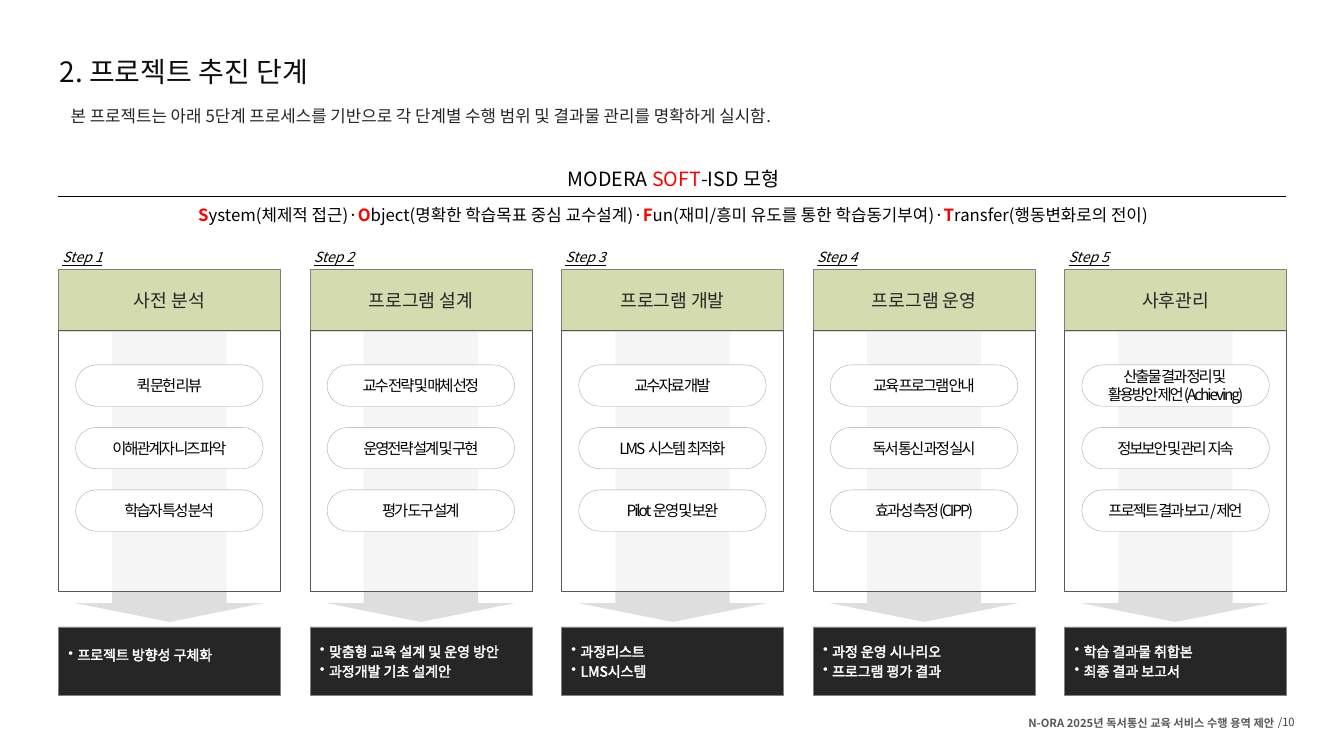
from pptx import Presentation
from pptx.dml.color import RGBColor
from pptx.enum.shapes import MSO_CONNECTOR, MSO_SHAPE
from pptx.enum.text import MSO_ANCHOR, PP_ALIGN
from pptx.oxml import parse_xml
from pptx.oxml.ns import nsdecls, qn
from pptx.oxml.xmlchemy import OxmlElement
from pptx.util import Inches, Pt

FONT = "Noto Sans CJK KR"
BLACK = RGBColor(0x00, 0x00, 0x00)
NEAR_BLACK = RGBColor(0x0D, 0x0D, 0x0D)
CHARCOAL = RGBColor(0x26, 0x26, 0x26)
PAGE_GREY = RGBColor(0x40, 0x40, 0x40)
DARK_GREY = RGBColor(0x59, 0x59, 0x59)
MID_GREY = RGBColor(0x80, 0x80, 0x80)
PILL_GREY = RGBColor(0xA6, 0xA6, 0xA6)
ARROW_GREY = RGBColor(0xBF, 0xBF, 0xBF)
GREEN = RGBColor(0xD3, 0xDB, 0xAF)
WHITE = RGBColor(0xFF, 0xFF, 0xFF)
RED = RGBColor(0xFF, 0x00, 0x00)

FIRST_LEFT, STEP_PITCH, STEP_WIDTH = 0.58, 2.495, 2.2
PILL_INSET, PILL_WIDTH, PILL_TOP, PILL_PITCH = 0.17, 1.86, 3.62, 0.62

STEPS = [
    ("사전 분석",
     ["퀵 문헌 리뷰", "이해관계자 니즈 파악", "학습자 특성 분석"],
     ["프로젝트 방향성 구체화"]),
    ("프로그램 설계",
     ["교수 전략 및 매체 선정", "운영전략 설계 및 구현", "평가 도구 설계"],
     ["맞춤형 교육 설계 및 운영 방안", "과정개발 기초 설계안"]),
    ("프로그램 개발",
     ["교수자료 개발", "LMS  시스템  최적화", "Pilot 운영 및 보완"],
     ["과정리스트", "LMS시스템"]),
    ("프로그램 운영",
     ["교육 프로그램 안내", "독서 통신 과정 실시", "효과성 측정(CIPP)"],
     ["과정 운영 시나리오", "프로그램 평가 결과"]),
    ("사후관리",
     ["산출물 결과 정리 및 \n활용방안 제언(Achieving)", "정보보안 및 관리  지속",
      "프로젝트 결과 보고/제언"],
     ["학습 결과물 취합본", "최종 결과 보고서"]),
]
MODEL_WORDS = [
    ("S", "ystem(체제적 접근)·"),
    ("O", "bject(명확한 학습목표 중심 교수설계)·"),
    ("F", "un(재미/흥미 유도를 통한 학습동기부여)·"),
    ("T", "ransfer(행동변화로의 전이)"),
]


def add_run(paragraph, text, size, color, bold=False):
    run = paragraph.add_run()
    run.text = text
    run.font.name = FONT
    run.font.size = Pt(size)
    run.font.bold = bold
    run.font.color.rgb = color
    east_asian = OxmlElement("a:ea")
    east_asian.set("typeface", FONT)
    run.font._element.find(qn("a:latin")).addnext(east_asian)
    return run


def add_label(slide, box, runs, size, align=PP_ALIGN.LEFT,
              anchor=MSO_ANCHOR.TOP, wrap=False):
    label = slide.shapes.add_textbox(*map(Inches, box))
    frame = label.text_frame
    frame.word_wrap = wrap
    frame.vertical_anchor = anchor
    paragraph = frame.paragraphs[0]
    paragraph.alignment = align
    for text, color, bold in runs:
        add_run(paragraph, text, size, color, bold)
    return label


def add_block(slide, kind, box, fill, line=None, alpha=None):
    block = slide.shapes.add_shape(kind, *map(Inches, box))
    block.shadow.inherit = False
    block.fill.solid()
    block.fill.fore_color.rgb = fill
    if alpha:
        opacity = OxmlElement("a:alpha")
        opacity.set("val", str(alpha * 1000))
        block.element.spPr.find(qn("a:solidFill"))[0].append(opacity)
    if line is None:
        block.line.fill.background()
    else:
        block.line.color.rgb = line
        block.line.width = Pt(0.25)
    block.text_frame.vertical_anchor = MSO_ANCHOR.MIDDLE
    return block


def add_pill(slide, left, top, text):
    pill = add_block(slide, MSO_SHAPE.ROUNDED_RECTANGLE,
                     (left, top, PILL_WIDTH, 0.41), WHITE, PILL_GREY)
    pill.adjustments[0] = 0.5
    pill.text_frame.word_wrap = False
    paragraph = pill.text_frame.paragraphs[0]
    paragraph.alignment = PP_ALIGN.CENTER
    for number, line in enumerate(text.split("\n")):
        if number:
            paragraph.add_line_break()
        run = add_run(paragraph, line, 11, BLACK)
        run.font._element.set("spc", "-150")


def add_results(slide, left, results):
    box = add_block(slide, MSO_SHAPE.RECTANGLE, (left, 6.22, STEP_WIDTH, 0.68),
                    CHARCOAL, MID_GREY)
    frame = box.text_frame
    frame.word_wrap = False
    if len(results) == 1:
        frame.margin_bottom = Inches(0.18)
    for number, result in enumerate(results):
        paragraph = frame.add_paragraph() if number else frame.paragraphs[0]
        paragraph.alignment = PP_ALIGN.LEFT
        properties = paragraph._p.get_or_add_pPr()
        properties.set("marL", str(Inches(0.09)))
        properties.set("indent", str(-Inches(0.09)))
        bullet = OxmlElement("a:buChar")
        bullet.set("char", "•")
        properties.append(bullet)
        paragraph.space_before = Pt(1 if number else 0)
        paragraph.space_after = Pt(1)
        run = add_run(paragraph, result, 10, WHITE)
        run.font._element.insert(0, parse_xml(
            f'<a:ln {nsdecls("a")} w="3175"><a:solidFill>'
            f'<a:srgbClr val="{WHITE}"/></a:solidFill></a:ln>'))


def add_step(slide, index, heading, tasks, results):
    left = FIRST_LEFT + index * STEP_PITCH
    pill_left = left + PILL_INSET
    add_results(slide, left, results)
    arrow = add_block(slide, MSO_SHAPE.DOWN_ARROW,
                      (pill_left, 2.92, PILL_WIDTH, 3.25), ARROW_GREY, alpha=50)
    arrow.adjustments[0] = 0.61
    arrow.adjustments[1] = 0.1
    header = add_block(slide, MSO_SHAPE.RECTANGLE,
                       (left, 2.67, STEP_WIDTH, 0.62), GREEN, MID_GREY)
    paragraph = header.text_frame.paragraphs[0]
    paragraph.alignment = PP_ALIGN.CENTER
    add_run(paragraph, heading, 13, CHARCOAL)
    add_block(slide, MSO_SHAPE.RECTANGLE, (left, 3.28, STEP_WIDTH, 2.59),
              WHITE, DARK_GREY, alpha=72)
    for row, task in enumerate(tasks):
        add_pill(slide, pill_left, PILL_TOP + row * PILL_PITCH, task)
    step = add_label(slide, (left - 0.06, 2.42, 0.66, 0.24),
                     [(f"Step {index + 1}", BLACK, False)], 10)
    font = step.text_frame.paragraphs[0].runs[0].font
    font.italic = True
    font.underline = True


def add_title(slide):
    title = slide.shapes.title
    title.left, title.top, title.width, title.height = map(
        Inches, (0.55, 0.47, 10.02, 0.47))
    frame = title.text_frame
    frame.word_wrap = False
    frame.vertical_anchor = MSO_ANCHOR.MIDDLE
    frame.margin_left = frame.margin_right = Inches(0.04)
    frame.margin_top = frame.margin_bottom = Inches(0.04)
    frame.paragraphs[0].alignment = PP_ALIGN.LEFT
    add_run(frame.paragraphs[0], "2. 프로젝트 추진 단계", 20, NEAR_BLACK)


def add_summary(slide):
    summary = add_label(
        slide, (0.7, 1.01, 12.19, 0.8),
        [("본 프로젝트는 아래 5단계 프로세스를 기반으로 각 단계별 수행 범위 및 "
          "결과물 관리를 명확하게 실시함.", CHARCOAL, False)], 12, wrap=True)
    frame = summary.text_frame
    frame.margin_left = frame.margin_right = 0
    frame.margin_top = frame.margin_bottom = 0
    frame.paragraphs[0].line_spacing = 1.2


def add_model(slide):
    rule = slide.shapes.add_connector(MSO_CONNECTOR.STRAIGHT, Inches(FIRST_LEFT),
                                      Inches(1.95), Inches(12.75), Inches(1.95))
    rule.line.color.rgb = BLACK
    rule.line.width = Pt(0.25)
    rule.element.spPr.append(OxmlElement("a:effectLst"))
    add_label(slide, (5.44, 1.61, 2.48, 0.34),
              [("MODERA ", BLACK, False), ("SOFT", RED, False),
               ("-ISD 모형", BLACK, False)], 14, PP_ALIGN.CENTER)
    words = [run for initial, rest in MODEL_WORDS
             for run in ((initial, RED, True), (rest, BLACK, False))]
    add_label(slide, (1.69, 1.98, 9.97, 0.3), words, 12, PP_ALIGN.CENTER,
              MSO_ANCHOR.MIDDLE, wrap=True)


def add_footer(slide):
    add_label(slide, (12.45, 7.04, 0.49, 0.25), [("/10", PAGE_GREY, False)],
              8, PP_ALIGN.RIGHT, MSO_ANCHOR.MIDDLE)
    add_label(slide, (10.01, 7.05, 2.73, 0.24),
              [("N-ORA 2025년 독서통신 교육 서비스 수행 용역 제안", DARK_GREY, True)],
              8, PP_ALIGN.RIGHT, MSO_ANCHOR.MIDDLE)


def main():
    deck = Presentation()
    deck.slide_width, deck.slide_height = Inches(13.33), Inches(7.5)
    slide = deck.slides.add_slide(deck.slide_layouts[5])
    add_footer(slide)
    add_title(slide)
    add_summary(slide)
    for index, (heading, tasks, results) in enumerate(STEPS):
        add_step(slide, index, heading, tasks, results)
    add_model(slide)
    deck.save("out.pptx")


if __name__ == "__main__":
    main()
